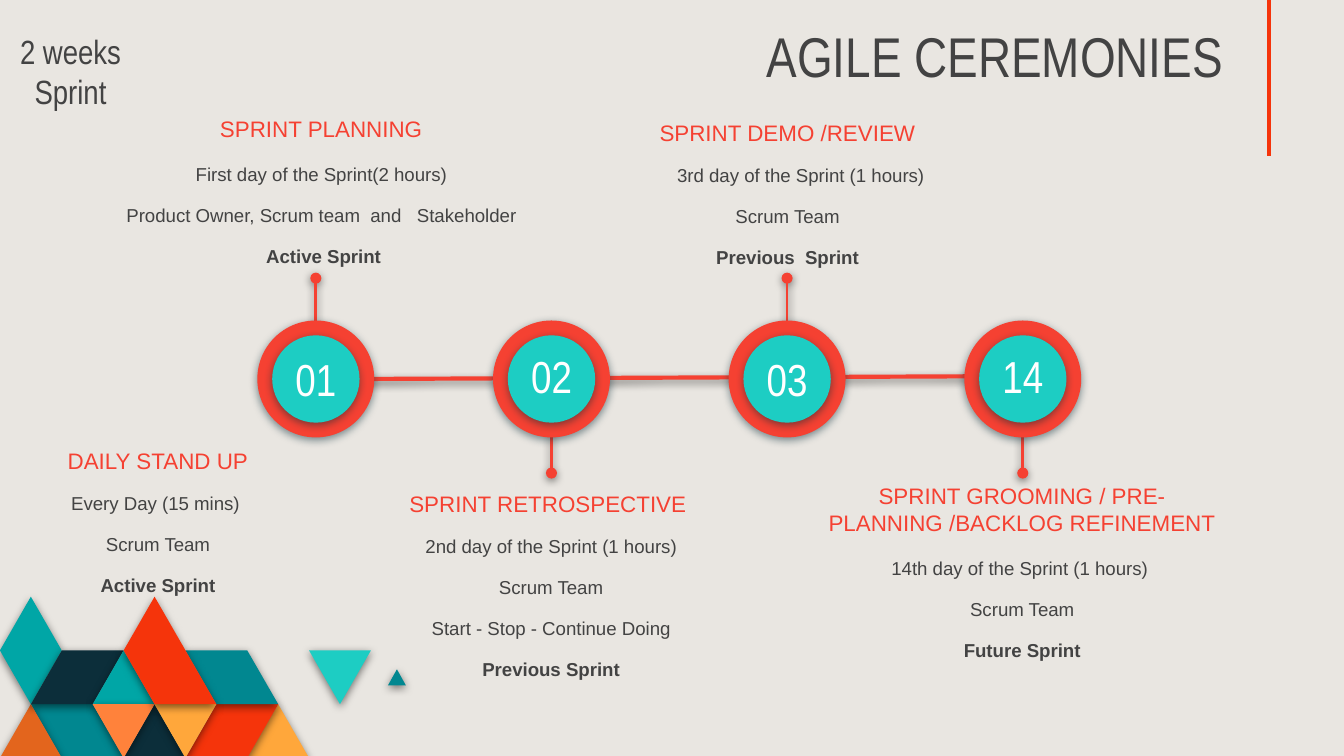
"""Build the Agile ceremonies timeline slide."""
import lxml.etree
import pptx
import pptx.dml.color
import pptx.enum.shapes
import pptx.enum.text
import pptx.oxml
import pptx.oxml.ns
import pptx.util

Inches = pptx.util.Inches
Pt = pptx.util.Pt
ALIGN = pptx.enum.text.PP_ALIGN
ANCHOR = pptx.enum.text.MSO_ANCHOR

COLORS = {
    "background": "E9E6E1", "ink": "434343", "coral": "F54132", "aqua": "1DCDC3",
    "white": "FFFFFF", "black": "000000", "navy": "0C2E3A", "teal": "00A6A6",
    "deep teal": "018790", "red": "F5340B", "amber": "FFA73B", "orange": "FF823B",
    "rust": "E3651D",
}

TILE_WIDTH, TILE_HEIGHT, TILE_TOP = 0.23, 0.4, 4.44
TILES = [
    ("amber", [(10, 3), (9, 2), (8, 3)]),
    ("red", [(9, 2), (7, 2), (6, 3), (8, 3)]),
    ("deep teal", [(4, 3), (3, 2), (1, 2), (2, 3)]),
    ("rust", [(2, 3), (1, 2), (0, 3)]),
    ("navy", [(6, 3), (5, 2), (4, 3)]),
    ("deep teal", [(9, 2), (8, 1), (6, 1), (7, 2)]),
    ("deep teal", [(13.13, 1.65), (12.84, 1.35), (12.55, 1.65)]),
    ("aqua", [(12, 1), (10, 1), (11, 2)]),
    ("teal", [(2, 1), (1, 0), (0, 1), (1, 2)]),
    ("navy", [(4, 1), (2, 1), (1, 2), (3, 2)]),
    ("teal", [(5, 2), (4, 1), (3, 2)]),
    ("orange", [(5, 2), (3, 2), (4, 3)]),
    ("amber", [(7, 2), (5, 2), (6, 3)]),
    ("red", [(7, 2), (5, 0), (4, 1), (5, 2)]),
]

FIRST_CENTER, LAST_CENTER, CENTER_Y = 2.35, 7.61, 2.82
RING_SIZE, DISC_SIZE = 0.87, 0.65
STEPS = [("01", True), ("02", False), ("03", True), ("14", False)]

CEREMONIES = [
    {"box": (2.82, 3.63, 2.56, 1.45), "heading": "SPRINT RETROSPECTIVE ", "spacing": 0.5,
     "details": ["2nd day of the Sprint (1 hours)", "Scrum Team", "Start - Stop - Continue Doing"],
     "sprint": "Previous Sprint"},
    {"box": (0.35, 0.76, 4.08, 1.71), "heading": "SPRINT PLANNING", "spacing": 1,
     "details": ["First day of the Sprint(2 hours)", "Product Owner, Scrum team  and   Stakeholder"],
     "sprint": " Active Sprint"},
    {"box": (4.36, 0.87, 3, 1.45), "heading": "SPRINT DEMO /REVIEW", "spacing": 0.5,
     "details": ["3rd day of the Sprint (1 hours)", "Scrum Team"],
     "sprint": "Previous  Sprint", "first_indent": 0.58},
    {"box": (6.05, 3.49, 3.11, 1.41), "spacing": 1,
     "heading": "SPRINT GROOMING / PRE-PLANNING /BACKLOG REFINEMENT",
     "details": ["14th day of the Sprint (1 hours) ", "Scrum Team"],
     "sprint": "Future Sprint"},
    {"box": (0.07, 3.31, 2.21, 1.45), "heading": "DAILY STAND UP", "spacing": 0.5,
     "details": ["Every Day (15 mins) ", "Scrum Team"], "sprint": "Active Sprint"},
]


def rgb(name):
    return pptx.dml.color.RGBColor.from_string(COLORS[name])


def add_shadow(effects, color):
    shadow = lxml.etree.SubElement(
        effects, pptx.oxml.ns.qn("a:outerShdw"), blurRad=str(Pt(4.5)), dist=str(Pt(1.5)),
        dir="5400000", algn="bl", rotWithShape="0")
    tint = lxml.etree.SubElement(shadow, pptx.oxml.ns.qn("a:srgbClr"), val=COLORS[color])
    lxml.etree.SubElement(tint, pptx.oxml.ns.qn("a:alpha"), val="50000")


def style_shape(shape, fill, shadow):
    shape.fill.solid()
    shape.fill.fore_color.rgb = rgb(fill)
    shape.line.fill.background()
    shape.shadow.inherit = False
    add_shadow(shape._element.spPr.find(pptx.oxml.ns.qn("a:effectLst")), shadow)


def add_line(slide, start, end, color, width, shadow=None, dot=False):
    points = [Inches(value) for value in (*start, *end)]
    line = slide.shapes.add_connector(pptx.enum.shapes.MSO_CONNECTOR.STRAIGHT, *points)
    line.line.color.rgb = rgb(color)
    line.line.width = Pt(width)
    properties = line._element.spPr
    if dot:
        outline = properties.find(pptx.oxml.ns.qn("a:ln"))
        lxml.etree.SubElement(outline, pptx.oxml.ns.qn("a:tailEnd"), type="oval")
    effects = lxml.etree.SubElement(properties, pptx.oxml.ns.qn("a:effectLst"))
    if shadow:
        add_shadow(effects, shadow)


def add_circle(slide, center_x, size, fill):
    box = (center_x - size / 2, CENTER_Y - size / 2, size, size)
    circle = slide.shapes.add_shape(
        pptx.enum.shapes.MSO_SHAPE.OVAL, *[Inches(value) for value in box])
    style_shape(circle, fill, "navy")


def add_frame(slide, box, anchor=ANCHOR.TOP):
    frame = slide.shapes.add_textbox(*[Inches(value) for value in box]).text_frame
    frame.word_wrap = True
    frame.vertical_anchor = anchor
    frame.margin_left = frame.margin_right = Inches(0.1)
    frame.margin_top = frame.margin_bottom = Inches(0.1)
    return frame


def write(paragraph, text, size, color, font="Arial", bold=False, align=ALIGN.CENTER):
    paragraph.alignment = align
    run = paragraph.add_run()
    run.text = text
    run.font.size = Pt(size)
    run.font.name = font
    run.font.bold = bold
    run.font.color.rgb = rgb(color)


def add_label(slide, box, text, size, color, anchor=ANCHOR.TOP, align=ALIGN.CENTER):
    frame = add_frame(slide, box, anchor)
    write(frame.paragraphs[0], text, size, color, "Arial Narrow", align=align)


def add_tile(slide, color, corners):
    points = [(Inches(column * TILE_WIDTH), Inches(TILE_TOP + row * TILE_HEIGHT))
              for column, row in corners]
    builder = slide.shapes.build_freeform(*points[0])
    builder.add_line_segments(points[1:], close=True)
    style_shape(builder.convert_to_shape(), color, "black")


def add_ceremony(slide, ceremony):
    frame = add_frame(slide, ceremony["box"])
    heading = frame.paragraphs[0]
    heading.line_spacing = ceremony["spacing"]
    write(heading, ceremony["heading"], 12, "coral")
    indent = ceremony.get("first_indent")
    for index, text in enumerate([*ceremony["details"], ceremony["sprint"]]):
        paragraph = frame.add_paragraph()
        paragraph.line_spacing = 0.5
        paragraph.space_before = Pt(16)
        indented = indent is not None and index == 0
        write(paragraph, text, 10, "ink", bold=index == len(ceremony["details"]),
              align=ALIGN.LEFT if indented else ALIGN.CENTER)
        if indented:
            paragraph._p.get_or_add_pPr().set("marL", str(Inches(indent)))


def add_timeline(slide):
    gap = (LAST_CENTER - FIRST_CENTER) / (len(STEPS) - 1)
    centers = [FIRST_CENTER + gap * index for index in range(len(STEPS))]
    add_line(slide, (2.74, 2.82), (7.22, 2.8), "coral", 2.25, "black")
    for center, (number, upward) in zip(centers, STEPS):
        start, end = (2.49, 2.07) if upward else (3.14, 3.52)
        add_line(slide, (center, start), (center, end), "coral", 1.5, "black", dot=True)
        add_circle(slide, center, RING_SIZE, "coral")
        add_circle(slide, center, DISC_SIZE, "aqua")
    for center, (number, upward) in zip(centers, STEPS):
        box = (center - 0.39, 2.44 if upward else 2.42, 0.78, 0.75)
        add_label(slide, box, number, 24, "white", ANCHOR.MIDDLE)


def main():
    presentation = pptx.Presentation()
    presentation.slide_width = Inches(10)
    presentation.slide_height = Inches(10 * 9 / 16)
    slide = presentation.slides.add_slide(presentation.slide_layouts[6])
    slide.background.fill.solid()
    slide.background.fill.fore_color.rgb = rgb("background")
    for color, corners in TILES:
        add_tile(slide, color, corners)
    add_line(slide, (9.44, 0), (9.44, 1.16), "red", 2.25)
    add_label(slide, (0.35, 0.13, 8.85, 0.63), "AGILE CEREMONIES", 30, "ink",
              ANCHOR.BOTTOM, ALIGN.RIGHT)
    add_timeline(slide)
    for ceremony in CEREMONIES:
        add_ceremony(slide, ceremony)
    add_label(slide, (-0.21, 0.13, 1.47, 0.52), "2 weeks Sprint", 18, "ink")
    presentation.save("out.pptx")


if __name__ == "__main__":
    main()
